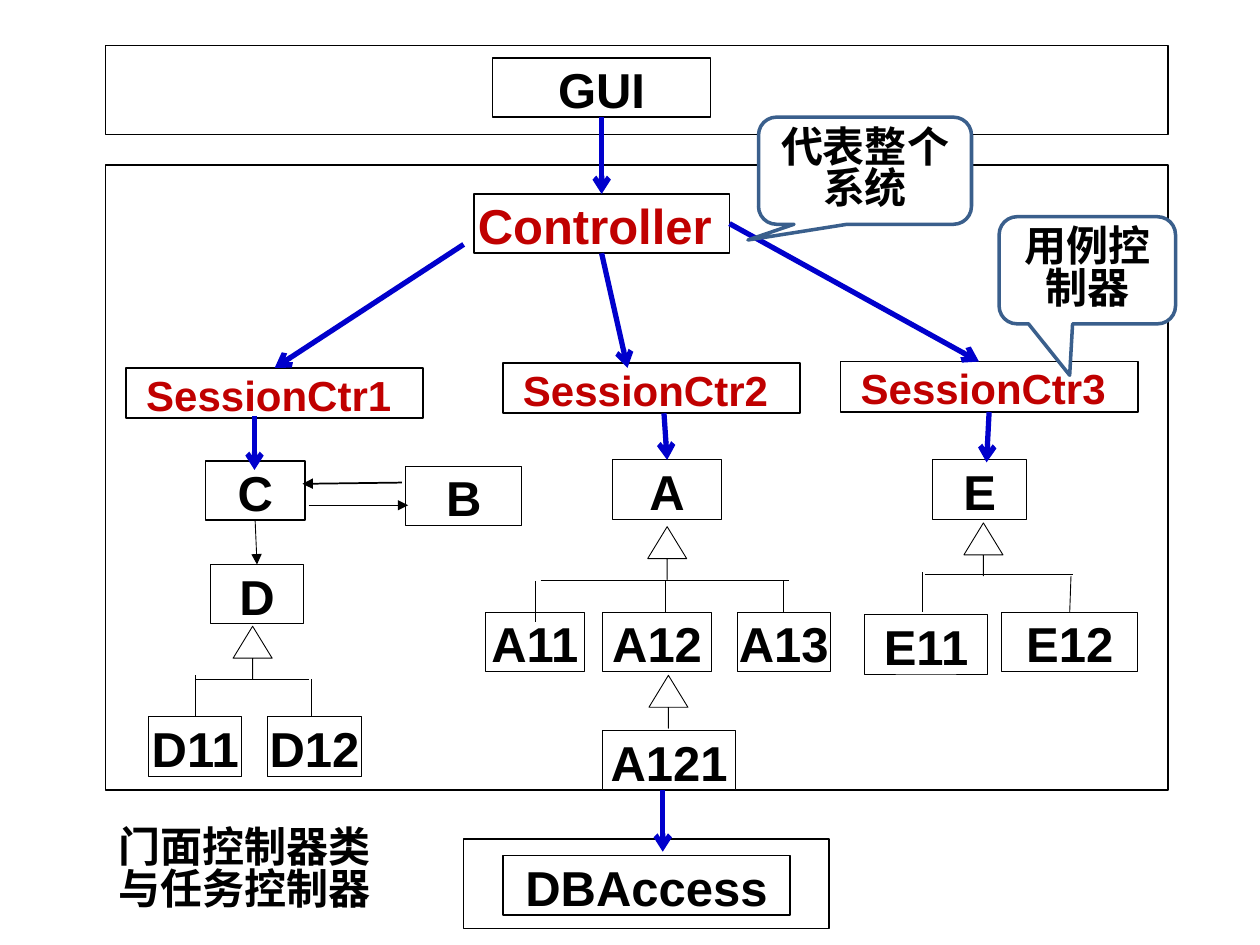
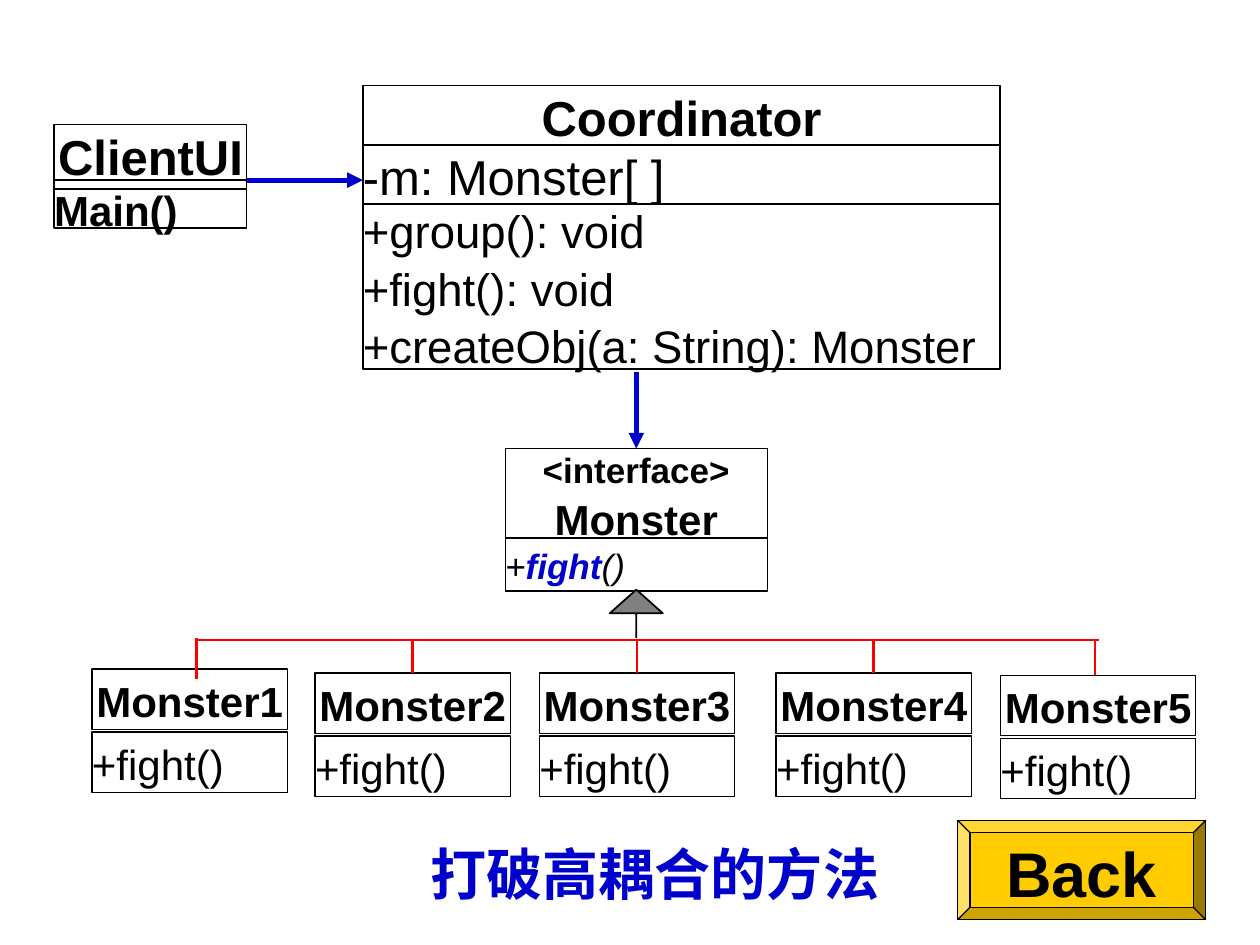
from dataclasses import dataclass
from lxml.etree import SubElement
from pptx import Presentation
from pptx.dml.color import RGBColor
from pptx.enum.shapes import MSO_CONNECTOR, MSO_SHAPE
from pptx.enum.text import MSO_ANCHOR, PP_ALIGN
from pptx.oxml.ns import qn
from pptx.util import Inches, Pt


@dataclass(frozen=True)
class Theme:
    """Colours, fonts, type sizes and line widths of the deck."""
    ink: str = "000000"
    paper: str = "FFFFFF"
    blue: str = "0000CC"
    red: str = "C00000"
    bus: str = "FF0000"
    edge: str = "3A5F8C"
    gray: str = "808080"
    gold: str = "FFCC00"
    latin: str = "Arial"
    han: str = "Noto Sans CJK SC"
    small: int = 20
    body: int = 24
    code: int = 26
    name: int = 28
    title: int = 32
    button: int = 36
    hair: float = 0.5
    thin: float = 0.75
    rule: float = 1
    branch: float = 1.5
    bubble: float = 2
    bold: float = 3
    lead: float = 1.05
    tight: float = 0.82


SITES = ((0.5, 0), (0, 0.5), (0.5, 1), (1, 0.5))


class Deck:
    """Style and current slide, on a grid of 100 columns by 75 rows."""

    def __init__(self, theme):
        """Open an empty deck."""
        self.theme = theme
        self.prs = Presentation()
        self.prs.slide_width, self.prs.slide_height = Inches(10), Inches(7.5)
        self.cell = self.prs.slide_width // 100
        self.slide = None

    def grid(self, *cells):
        """Turn columns or rows into lengths."""
        return [round(cell * self.cell) for cell in cells]

    def page(self, title, at, size, color):
        """Start a slide with its title placed at the given cells."""
        self.slide = self.prs.slides.add_slide(self.prs.slide_layouts[5])
        head = self.slide.shapes.title
        head.left, head.top, head.width, head.height = self.grid(*at)
        self.label(head, title, size, color, lead=self.theme.tight)

    def style(self, run, size, color, bold=True, italic=False):
        """Format one run."""
        font = run.font
        font.name, font.size = self.theme.latin, Pt(size)
        font.bold, font.italic = bold, italic
        font.color.rgb = RGBColor.from_string(color)
        SubElement(run._r.get_or_add_rPr(), qn("a:ea"), typeface=self.theme.han)

    def label(self, shape, text, size, color, bold=True, align=PP_ALIGN.CENTER, lead=None):
        """Fill a shape with text."""
        frame = shape.text_frame
        frame.text = text
        frame.word_wrap = True
        frame.vertical_anchor = MSO_ANCHOR.MIDDLE
        frame.margin_left = frame.margin_right = frame.margin_top = frame.margin_bottom = 0
        for para in frame.paragraphs:
            para.alignment = align
            para.line_spacing = lead or self.theme.lead
            for run in para.runs:
                self.style(run, size, color, bold)

    def shape(self, kind, at, fill=None, line=None, width=None, adj=()):
        """Draw a preset shape."""
        item = self.slide.shapes.add_shape(kind, *self.grid(*at))
        item.shadow.inherit = False
        if fill:
            item.fill.solid()
            item.fill.fore_color.rgb = RGBColor.from_string(fill)
        else:
            item.fill.background()
        item.line.color.rgb = RGBColor.from_string(line or self.theme.ink)
        item.line.width = Pt(width or self.theme.thin)
        for index, value in enumerate(adj):
            item.adjustments[index] = value
        return item

    def box(self, text, at, size=None, color=None, width=None, bold=True, align=PP_ALIGN.CENTER):
        """Draw a white box with text."""
        item = self.shape(MSO_SHAPE.RECTANGLE, at, self.theme.paper, width=width)
        self.label(item, text, size or self.theme.name, color or self.theme.ink, bold, align)
        return item

    def field(self, text, at, size, width=None, bold=False):
        """Draw a left-aligned class compartment."""
        return self.box(text, at, size, width=width, bold=bold, align=PP_ALIGN.LEFT)

    def bubble(self, text, at, tip):
        """Draw a speech bubble."""
        item = self.shape(MSO_SHAPE.ROUNDED_RECTANGULAR_CALLOUT, at, self.theme.paper,
                          self.theme.edge, self.theme.bubble, (*tip, 0.167))
        self.label(item, text, self.theme.body, self.theme.ink, lead=self.theme.tight)

    def parent(self, at, head, fill=None, width=None):
        """Draw an inheritance triangle with its stem."""
        self.shape(MSO_SHAPE.UP_ARROW, at, fill or self.theme.paper,
                   width=width or self.theme.hair, adj=(0, head))

    def place(self, end):
        """Locate a line end, given as a point or as a shape and side."""
        if isinstance(end[0], (int, float)):
            return self.grid(*end)
        item, side = end
        across, down = SITES[side]
        return [round(item.left + item.width * across), round(item.top + item.height * down)]

    def link(self, start, end, color=None, width=None, tip=None):
        """Draw a line, joined to shapes where its ends name them."""
        item = self.slide.shapes.add_connector(
            MSO_CONNECTOR.STRAIGHT, *self.place(start), *self.place(end))
        for spot, join in ((start, item.begin_connect), (end, item.end_connect)):
            if not isinstance(spot[0], (int, float)):
                join(*spot)
        item.line.color.rgb = RGBColor.from_string(color or self.theme.ink)
        item.line.width = Pt(width or self.theme.hair)
        props = item._element.spPr
        if tip:
            SubElement(props.find(qn("a:ln")), qn("a:tailEnd"), type=tip)
        SubElement(props, qn("a:effectLst"))

    def flow(self, start, end, tip="arrow"):
        """Draw a bold blue arrow."""
        self.link(start, end, self.theme.blue, self.theme.bold, tip)


def layers(deck):
    """Build the slide of facade and session controllers."""
    look = deck.theme
    deck.page("门面控制器类\n与任务控制器", (8.3, 64.6, 22.2, 9.1), look.body, look.ink)
    for at in ((8.4, 3.6, 84.3, 7.1), (8.4, 13.1, 84.3, 49.6), (36.8, 66.6, 29, 7.1)):
        deck.shape(MSO_SHAPE.RECTANGLE, at)

    high = 4.7
    nodes = {}
    for name, left, top, wide in (
            ("A", 48.6, 36.5, 8.7), ("A11", 38.5, 48.6, 7.9), ("A12", 47.8, 48.6, 8.7),
            ("A13", 58.5, 48.6, 7.4), ("A121", 47.8, 58, 10.6), ("B", 32.2, 37, 9.2),
            ("D", 16.7, 44.8, 7.4), ("D11", 11.8, 56.9, 7.4), ("D12", 21.2, 56.9, 7.5),
            ("E", 74, 36.5, 7.5), ("E11", 68.6, 48.8, 9.8), ("E12", 79.5, 48.6, 10.8)):
        nodes[name] = deck.box(name, (left, top, wide, high), width=look.hair)
    for name, left, top, wide in (
            ("C", 16.3, 36.6, 7.9), ("GUI", 39.1, 4.6, 17.3), ("DBAccess", 39.9, 67.9, 22.8)):
        nodes[name] = deck.box(name, (left, top, wide, high), width=look.rule)
    main = deck.box("Controller ", (37.6, 15.4, 20.3, high), color=look.red, width=look.rule)
    tasks = [deck.box(f"SessionCtr{rank} ", (left, top, 23.6, 4), look.body, look.red, look.rule)
             for rank, (left, top) in enumerate(((10, 29.2), (39.9, 28.8), (66.7, 28.7)), 1)]

    for left, top in ((51.4, 41.8), (18.5, 49.7), (76.5, 41.5), (51.5, 53.6)):
        deck.parent((left, top, 3.1, 4.2), 0.819)
    for start, end in (
            ((42.9, 46.1), (62.6, 46.1)), ((42.5, 46.1), (42.5, 49.4)),
            ((52.8, 46.1), (52.8, 48.6)), ((62.2, 46.1), (nodes["A13"], 0)),
            ((15.5, 53.9), (24.5, 53.9)), ((15.5, 53.6), (nodes["D11"], 0)),
            ((24.7, 53.9), (24.7, 56.9)), ((73.4, 45.6), (85.2, 45.6)),
            ((73.2, 45.4), (73.2, 48.6)), ((85, 45.7), (nodes["E12"], 0))):
        deck.link(start, end)
    deck.link((24.5, 40.1), (32.4, 40.1), tip="triangle")
    deck.link((31.9, 38.3), (24, 38.4), width=look.rule, tip="triangle")
    deck.link((nodes["C"], 2), (nodes["D"], 0), tip="triangle")

    for start, end in (
            ((nodes["GUI"], 2), (main, 0)), ((36.8, 19.4), (21.8, 29.2)),
            ((main, 2), (49.8, 29.2)), ((main, 3), (77.7, 28.7)),
            ((20.2, 33), (20.2, 37.3)), ((52.7, 32.8), (nodes["A"], 0)),
            ((tasks[2], 2), (78.3, 36.7)), ((52.6, 62.7), (52.6, 67.6))):
        deck.flow(start, end)
    deck.bubble("代表整个\n系统", (60.2, 9.3, 16.9, 8.5), (-0.55, 0.647))
    deck.bubble("用例控\n制器", (79.3, 17.2, 14, 8.5), (-0.1, 0.98))


def monsters(deck):
    """Build the slide of the coordinator and the monster classes."""
    look = deck.theme
    deck.page("打破高耦合的方法", (25.6, 66.6, 52.8, 6.4), look.title, look.blue)
    left, wide = 28.8, 50.6
    deck.box("Coordinator", (left, 6.8, wide, 4.7), width=look.rule)
    deck.field("-m: Monster[ ]", (left, 11.5, wide, 4.7), look.name, look.rule)
    deck.field("+group(): void\n+fight(): void\n+createObj(a: String): Monster",
               (left, 16.2, wide, 13.1), look.code, look.rule)
    deck.box("ClientUI", (4.3, 9.9, 15.3, 4.7))
    deck.field("Main()", (4.3, 15, 15.3, 3.1), look.body, bold=True)
    deck.shape(MSO_SHAPE.RECTANGLE, (4.3, 14.3, 15.3, 0.7), look.paper)
    deck.flow((19.6, 14.3), (28.8, 14.3), "triangle")

    base = deck.box("<interface>\nMonster", (40.1, 35.6, 20.8, 7.4), look.body)
    base.text_frame.paragraphs[0].runs[0].font.size = Pt(look.small)
    rite = deck.field("+", (40.1, 42.7, 20.8, 4.2), look.small)
    para = rite.text_frame.paragraphs[0]
    para.runs[0].font.italic = True
    for text, color, bold in (("fight", look.blue, True), ("()", look.ink, False)):
        run = para.add_run()
        run.text = text
        deck.style(run, look.small, color, bold, True)
    deck.flow((50.5, 29.5), (base, 0), "triangle")
    deck.parent((48.4, 46.8, 4.2, 3.8), 0.493, look.gray, look.rule)

    kids = []
    for rank, (left, top) in enumerate(
            ((7.3, 53.1), (25, 53.4), (42.8, 53.4), (61.6, 53.4), (79.4, 53.6)), 1):
        kids.append(deck.box(f"Monster{rank}", (left, top, 15.5, 4.8), look.body))
        deck.field("+fight()", (left, top + 5, 15.5, 4.8), look.body)
    ends = [((15.7, 50.8), (87.2, 50.8)), ((15.6, 50.6), (15.6, 53.9)),
            ((86.9, 50.8), (86.9, 53.6))]
    ends += [((mid, 50.8), (kid, 0)) for mid, kid in zip((32.75, 50.55, 69.35), kids[1:4])]
    for start, end in ends:
        deck.link(start, end, look.bus, look.branch)

    back = deck.shape(MSO_SHAPE.BEVEL, (76, 65.1, 19.7, 7.9), look.gold, adj=(0.125,))
    deck.label(back, "Back", look.button, look.ink)


def main():
    """Build and save the deck."""
    deck = Deck(Theme())
    layers(deck)
    monsters(deck)
    deck.prs.save("out.pptx")


if __name__ == "__main__":
    main()
